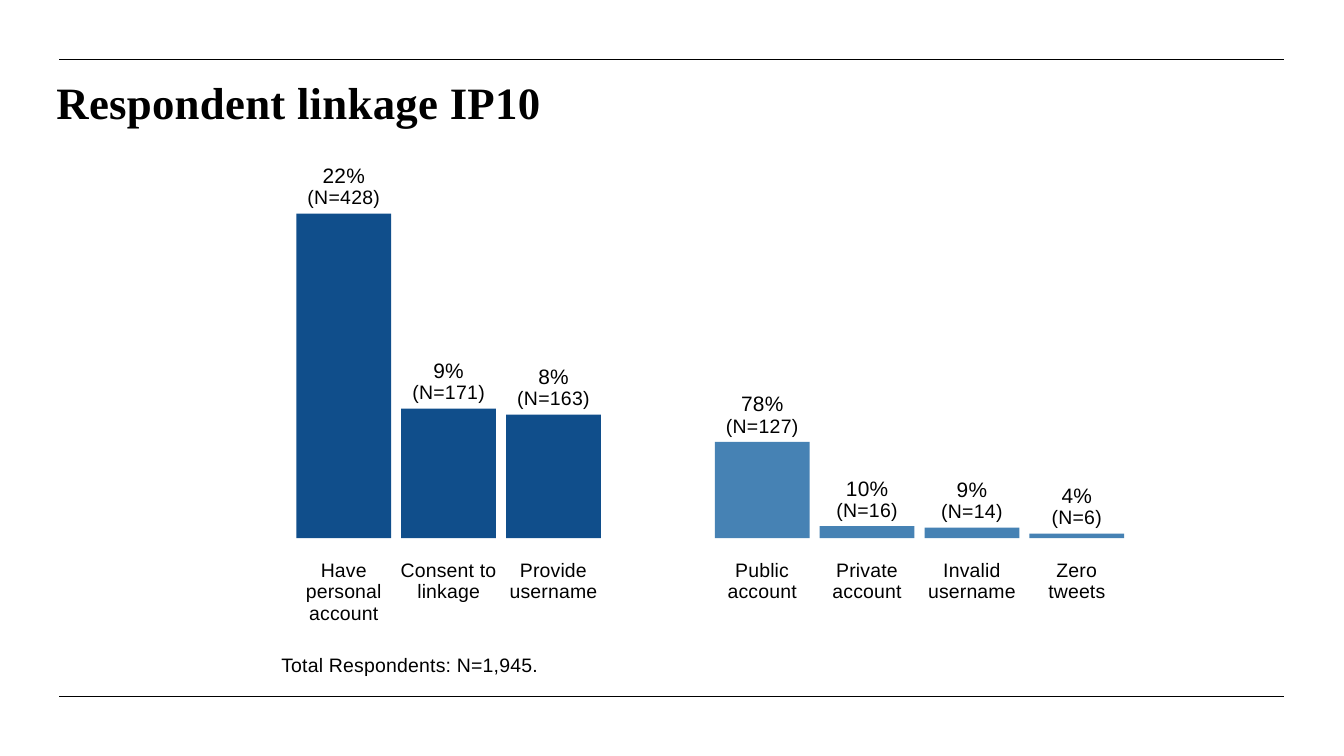
import pptx
import pptx.dml.color
import pptx.enum.shapes
import pptx.enum.text
import pptx.util
from lxml import etree
from pptx.oxml.ns import qn

Inches = pptx.util.Inches
Pt = pptx.util.Pt
BLACK = pptx.dml.color.RGBColor(0x00, 0x00, 0x00)
NAVY = pptx.dml.color.RGBColor(0x10, 0x4E, 0x8B)
STEEL = pptx.dml.color.RGBColor(0x46, 0x82, 0xB4)
CENTER = pptx.enum.text.PP_ALIGN.CENTER
LEFT = pptx.enum.text.PP_ALIGN.LEFT

BAR_WIDTH = 0.94
BAR_PITCH = 1.04
INCHES_PER_PERSON = 3.22 / 428
LABEL_WIDTH = 0.98

LINKAGE_STEPS = [
    ("Have personal account", "22%", 428),
    ("Consent to linkage", "9%", 171),
    ("Provide username", "8%", 163),
]
ACCOUNT_TYPES = [
    ("Public account", "78%", 127),
    ("Private account", "10%", 16),
    ("Invalid username", "9%", 14),
    ("Zero tweets", "4%", 6),
]


def write_text(frame, text, size=13.9, font="Arial", bold=False, align=LEFT,
               line_height=None, before=0, tracking=0.2, first=True):
    """Write one formatted paragraph into a text frame."""
    para = frame.paragraphs[0] if first else frame.add_paragraph()
    para.alignment = align
    para.space_before = Pt(before)
    if line_height:
        para.line_spacing = Pt(line_height)
    span = para.add_run()
    span.text = text
    span.font.size = Pt(size)
    span.font.name = font
    span.font.bold = bold
    span.font.color.rgb = BLACK
    span.font._element.set("spc", str(round(tracking * 100)))


def add_frame(page, left, top, width, height, inset_left=0, inset_top=0.03):
    """Add a wrapping text box and return its text frame."""
    box = page.shapes.add_textbox(Inches(left), Inches(top), Inches(width), Inches(height))
    frame = box.text_frame
    frame.word_wrap = True
    frame.margin_left = Inches(inset_left)
    frame.margin_top = Inches(inset_top)
    frame.margin_right = frame.margin_bottom = 0
    return frame


def add_rule(page, left, top, width):
    """Draw a thin horizontal rule."""
    rule = page.shapes.add_connector(
        pptx.enum.shapes.MSO_CONNECTOR.STRAIGHT,
        Inches(left), Inches(top), Inches(left + width), Inches(top))
    rule.line.color.rgb = BLACK
    rule.line.width = Pt(0.5)
    etree.SubElement(rule._element.spPr, qn("a:effectLst"))


def add_title(page, left, top, width, height):
    """Place the slide title."""
    frame = add_frame(page, left, top, width, height, inset_left=0.03, inset_top=0.13)
    write_text(frame, "Respondent linkage IP10", size=32, font="Times New Roman",
               bold=True, before=9.6)


def add_bar_group(page, left, baseline, bars, color):
    """Draw labelled bars rising from a baseline, scaled by head count."""
    for index, (category, percent, count) in enumerate(bars):
        bar_left = left + index * BAR_PITCH
        height = count * INCHES_PER_PERSON
        top = baseline - height
        bar = page.shapes.add_shape(
            pptx.enum.shapes.MSO_SHAPE.RECTANGLE,
            Inches(bar_left), Inches(top), Inches(BAR_WIDTH), Inches(height))
        bar.shadow.inherit = False
        bar.fill.solid()
        bar.fill.fore_color.rgb = color
        bar.line.fill.background()

        value = add_frame(page, bar_left, top - 0.51, BAR_WIDTH, 0.47)
        write_text(value, percent, size=14.9, align=CENTER, line_height=16.1, before=2.3)
        write_text(value, f"(N={count})", align=CENTER, line_height=15, first=False)

        label_left = bar_left + (BAR_WIDTH - LABEL_WIDTH) / 2
        label = add_frame(page, label_left, baseline + 0.16, LABEL_WIDTH, 0.69, inset_top=0.05)
        write_text(label, category, align=CENTER, line_height=15.5, before=3.9, tracking=0.1)


def add_footnote(page, left, top, width, height):
    """State the total number of respondents."""
    frame = add_frame(page, left, top, width, height, inset_left=0.03)
    write_text(frame, "Total Respondents: N=1,945.", before=2.4, tracking=0.15)


def main():
    """Build the slide and save the deck."""
    deck = pptx.Presentation()
    deck.slide_width = Inches(13.33)
    deck.slide_height = Inches(7.5)
    page = deck.slides.add_slide(deck.slide_layouts[6])
    for rule_top in (0.59, 6.91):
        add_rule(page, 0.59, rule_top, 12.15)
    add_title(page, 0.53, 0.61, 6.54, 0.67)
    add_bar_group(page, 2.94, 5.34, LINKAGE_STEPS, NAVY)
    add_bar_group(page, 7.09, 5.34, ACCOUNT_TYPES, STEEL)
    add_footnote(page, 2.76, 6.45, 2.61, 0.27)
    deck.save("out.pptx")


if __name__ == "__main__":
    main()
